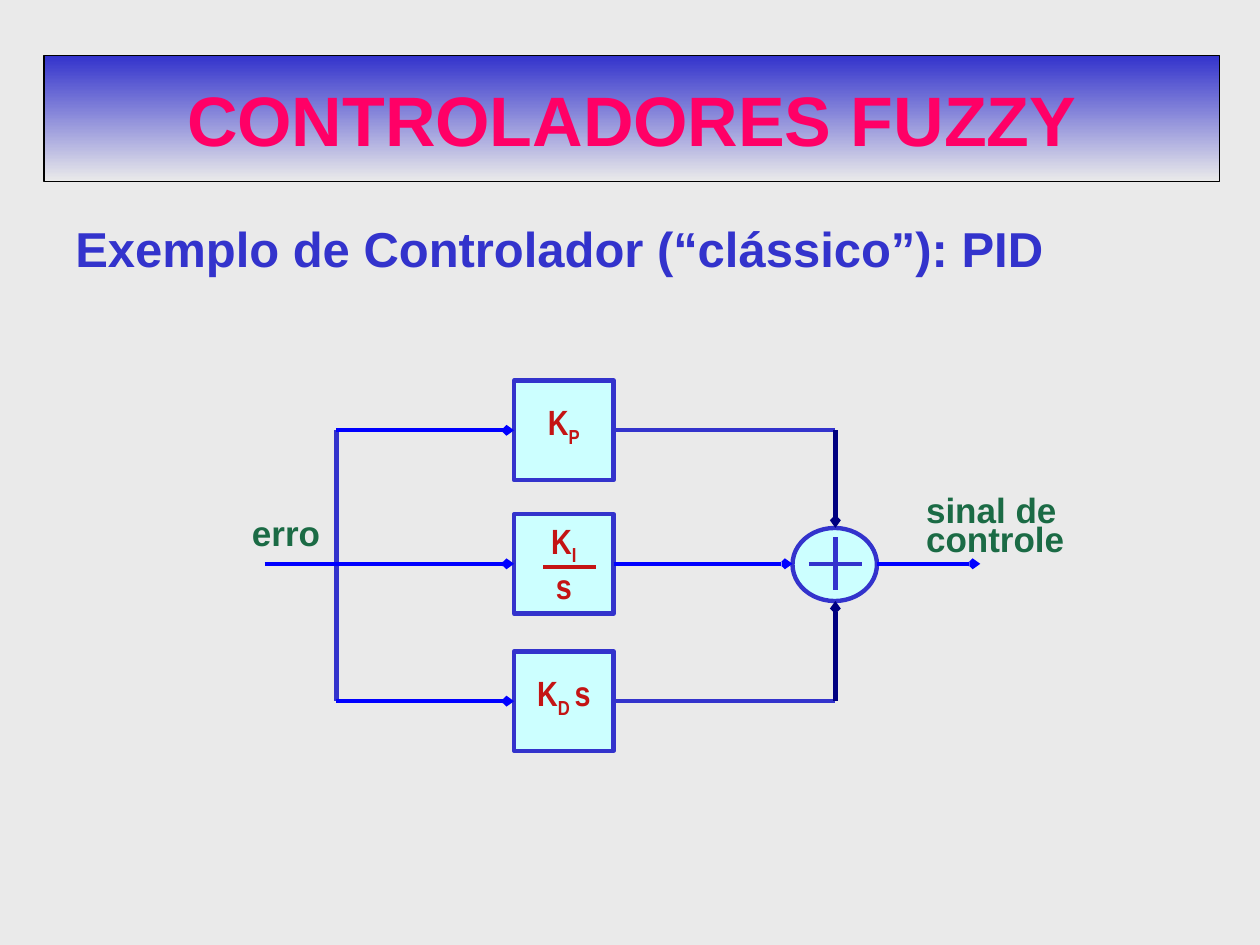
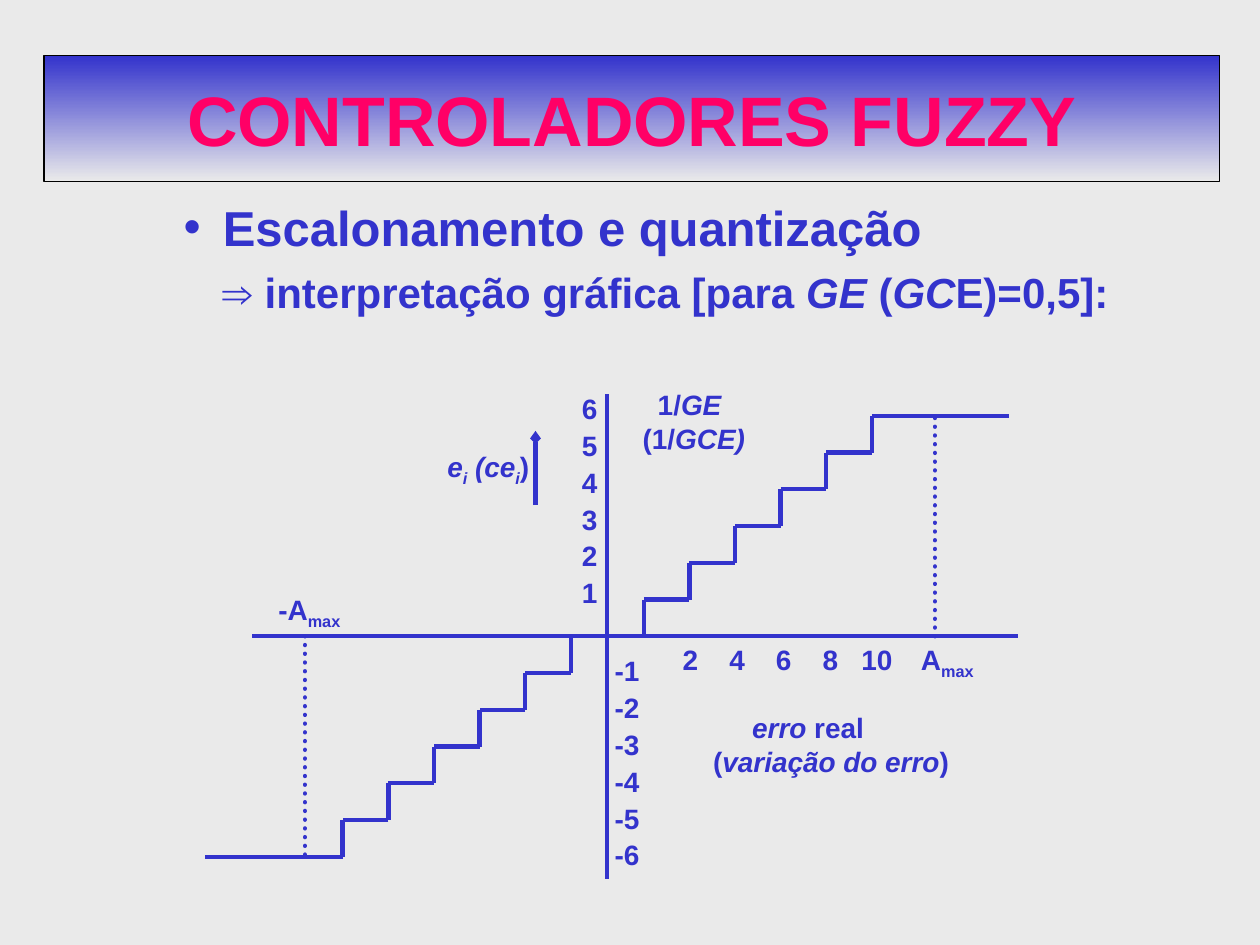
"""Build two slides on fuzzy controllers: a PID block diagram and a quantization staircase."""
from dataclasses import dataclass

from lxml import etree
from pptx import Presentation
from pptx import util as u
from pptx.dml.color import RGBColor
from pptx.enum import dml, shapes, text
from pptx.oxml import ns


@dataclass(frozen=True)
class Theme:
    background: str = "EAEAEA"
    primary: str = "3333CC"
    title: str = "FF0066"
    signal: str = "0000FF"
    sum_input: str = "000080"
    block: str = "CCFFFF"
    gain: str = "C41414"
    label: str = "1B6B45"
    border: str = "000000"
    font: str = "Arial"
    gain_font: str = "Arial Narrow"
    title_size: int = 40
    heading_size: int = 28
    subheading_size: int = 24
    diagram_size: int = 20
    axis_size: int = 16
    line_width: float = 2.5


THEME = Theme()
TITLE = "CONTROLADORES FUZZY"

PLAIN, ITALIC, SUB, ITALIC_SUB = "", "i", "s", "is"

PID_HEADING = [[("Exemplo de Controlador (“clássico”): PID", PLAIN)]]
GAINS = [
    (3.02, 0.16, [[("K", PLAIN), ("P", SUB)]]),
    (4.08, 0.04, [[("K", PLAIN), ("I", SUB)], [("s", PLAIN)]]),
    (5.17, 0.16, [[("K", PLAIN), ("D ", SUB), ("s", PLAIN)]]),
]
ERROR_LABEL = [[("erro", PLAIN)]]
OUTPUT_LABEL = [[("sinal de", PLAIN)], [("controle", PLAIN)]]

SCALING_HEADING = [
    [("Escalonamento e quantização", PLAIN)],
    [("⇒ interpretação gráfica [para ", PLAIN), ("GE", ITALIC), (" (", PLAIN),
     ("GC", ITALIC), ("E)=0,5]:", PLAIN)],
]
LEVELS = 6
POSITIVE_LEVELS = [[(str(level), PLAIN)] for level in range(LEVELS, 0, -1)]
NEGATIVE_LEVELS = [[(str(-level), PLAIN)] for level in range(1, LEVELS + 1)]
ERROR_TICKS = ["2", "4", "6", "8", "10"]
AXIS_NOTES = [
    ((3.55, 3.57, 1.14, 0.35), 0,
     [[("e", ITALIC), ("i", ITALIC_SUB), (" (ce", ITALIC), ("i", ITALIC_SUB), (")", PLAIN)]]),
    ((5.1, 3.08, 1.11, 0.74), 0.12,
     [[("1/", PLAIN), ("GE", ITALIC)], [("(1/", PLAIN), ("GCE)", ITALIC)]]),
    ((5.66, 5.64, 2.39, 0.59), 0.31,
     [[("erro", ITALIC), (" real", PLAIN)],
      [("(", PLAIN), ("variação do erro", ITALIC), (")", PLAIN)]]),
    ((7.31, 5.1, 0.7, 0.49), 0, [[("A", PLAIN), ("max", SUB)]]),
    ((2.21, 4.7, 0.55, 0.3), 0, [[("-A", PLAIN), ("max", SUB)]]),
]


def inches(*values):
    return [u.Inches(value) for value in values]


def color(value):
    return RGBColor.from_string(value)


def write(shape, paragraphs, size, ink, font=THEME.font, insets=(0, 0, 0, 0), align=None,
          spacing=None):
    frame = shape.text_frame
    frame.word_wrap = True
    frame.vertical_anchor = text.MSO_ANCHOR.TOP
    (frame.margin_left, frame.margin_top,
     frame.margin_right, frame.margin_bottom) = inches(*insets)
    for index, runs in enumerate(paragraphs):
        paragraph = frame.paragraphs[0] if index == 0 else frame.add_paragraph()
        paragraph.alignment = align or text.PP_ALIGN.LEFT
        if spacing:
            paragraph.line_spacing = spacing
        for words, style in runs:
            run = paragraph.add_run()
            run.text = words
            run.font.name, run.font.size, run.font.bold = font, u.Pt(size), True
            run.font.italic = "i" in style
            run.font.color.rgb = color(ink)
            if "s" in style:
                run.font._element.set("baseline", "-25000")
    return frame


def add_text(slide, place, paragraphs, size, ink=THEME.primary, **options):
    return write(slide.shapes.add_textbox(*inches(*place)), paragraphs, size, ink, **options)


def indent(paragraph, margin, first=0):
    properties = paragraph._p.get_or_add_pPr()
    properties.set("marL", str(u.Inches(margin)))
    properties.set("indent", str(u.Inches(first)))
    return properties


def add_bullet(paragraph, margin, first):
    properties = indent(paragraph, margin, first)
    bullet_color = etree.SubElement(properties, ns.qn("a:buClr"))
    etree.SubElement(bullet_color, ns.qn("a:srgbClr"), val=THEME.primary)
    etree.SubElement(properties, ns.qn("a:buFont"), typeface=THEME.font)
    etree.SubElement(properties, ns.qn("a:buChar"), char="•")


def add_line(slide, start, end, ink=THEME.primary, arrow=False, dotted=False):
    line = slide.shapes.add_connector(shapes.MSO_CONNECTOR.STRAIGHT, *inches(*start, *end))
    line.line.color.rgb = color(ink)
    line.line.width = u.Pt(THEME.line_width)
    if dotted:
        line.line.dash_style = dml.MSO_LINE.ROUND_DOT
        line.line._get_or_add_ln().set("cap", "rnd")
    if arrow:
        etree.SubElement(line.line._get_or_add_ln(), ns.qn("a:tailEnd"),
                         type="arrow", w="sm", len="sm")
    etree.SubElement(line._element.spPr, ns.qn("a:effectLst"))
    return line


def add_block(slide, kind, place):
    block = slide.shapes.add_shape(kind, *inches(*place))
    block.shadow.inherit = False
    block.fill.solid()
    block.fill.fore_color.rgb = color(THEME.block)
    block.line.color.rgb = color(THEME.primary)
    block.line.width = u.Pt(THEME.line_width)
    return block


def add_slide(presentation):
    slide = presentation.slides.add_slide(presentation.slide_layouts[6])
    slide.background.fill.solid()
    slide.background.fill.fore_color.rgb = color(THEME.background)
    band = slide.shapes.add_shape(shapes.MSO_SHAPE.RECTANGLE, *inches(0.35, 0.44, 9.33, 1))
    band.shadow.inherit = False
    band.fill.gradient()
    band.fill.gradient_angle = 270
    for stop, position, ink in zip(band.fill.gradient_stops, (0, 1),
                                   (THEME.primary, THEME.background)):
        stop.position = position
        stop.color.rgb = color(ink)
    band.line.color.rgb = color(THEME.border)
    band.line.width = u.Pt(0.75)
    frame = write(band, [[(TITLE, PLAIN)]], THEME.title_size, THEME.title,
                  insets=(0.1, 0.05, 0.1, 0.05), align=text.PP_ALIGN.CENTER)
    frame.vertical_anchor = text.MSO_ANCHOR.MIDDLE
    return slide


def add_heading(slide, place, paragraphs):
    frame = add_text(slide, place, paragraphs, THEME.heading_size,
                     insets=(0.1, 0.05, 0.1, 0.05))
    frame.paragraphs[0].line_spacing = 1.4
    return frame


def build_pid(presentation):
    slide = add_slide(presentation)
    add_heading(slide, (0.5, 1.5, 9, 0.83), PID_HEADING)

    side, block_left = 0.79, 4.08
    block_right = block_left + side
    split_x, sum_x, sum_left, sum_right = 2.67, 6.63, 6.29, 6.96
    sum_top, sum_bottom = 4.19, 4.77
    rows = [top + side / 2 for top, _, _ in GAINS]
    upper, middle, lower = rows
    add_line(slide, (split_x, upper), (split_x, lower))
    adder = (sum_left, sum_top, sum_right - sum_left, sum_bottom - sum_top)
    add_block(slide, shapes.MSO_SHAPE.OVAL, adder)

    for (top, inset, formula), row in zip(GAINS, rows):
        block = add_block(slide, shapes.MSO_SHAPE.RECTANGLE, (block_left, top, side, side))
        frame = write(block, formula, THEME.diagram_size, THEME.gain, THEME.gain_font,
                      insets=(0, inset, 0, 0), align=text.PP_ALIGN.CENTER)
        for denominator in frame.paragraphs[1:]:
            denominator.line_spacing = 0.7
            denominator.space_before = u.Pt(5)
        central = row == middle
        source = add_line(slide, (2.1 if central else split_x, row), (block_left, row),
                          THEME.signal, arrow=True)
        source.end_connect(block, 1)
        output = add_line(slide, (block_right, row), (sum_left if central else sum_x, row),
                          THEME.signal if central else THEME.primary, arrow=central)
        output.begin_connect(block, 3)

    add_line(slide, (4.31, 4.5), (4.73, 4.5), THEME.gain)
    add_line(slide, (sum_x, upper), (sum_x, sum_top), THEME.sum_input, arrow=True)
    add_line(slide, (sum_x, lower), (sum_x, sum_bottom), THEME.sum_input, arrow=True)
    add_line(slide, (sum_right, middle), (7.78, middle), THEME.signal, arrow=True)
    arm = 0.21
    add_line(slide, (sum_x - arm, middle), (sum_x + arm, middle))
    add_line(slide, (sum_x, middle - arm), (sum_x, middle + arm))

    add_text(slide, (2, 4.06, 0.64, 0.33), ERROR_LABEL, THEME.diagram_size, THEME.label)
    frame = add_text(slide, (7.35, 3.81, 1.2, 0.6), OUTPUT_LABEL, THEME.diagram_size,
                     THEME.label)
    first, second = frame.paragraphs
    first.line_spacing, second.line_spacing = 1.2, 0.4
    second.space_before = u.Pt(5)


def build_quantization(presentation):
    slide = add_slide(presentation)
    frame = add_heading(slide, (0.67, 1.33, 8.5, 1.42), SCALING_HEADING)
    topic, detail = frame.paragraphs
    add_bullet(topic, 1, -0.31)
    indent(detail, 1)
    detail.space_before = u.Pt(6)
    for run in detail.runs:
        run.font.size = u.Pt(THEME.subheading_size)

    origin_x, origin_y = 4.82, 5.05
    first_riser, last_riser, reach, height = 0.29, 2.1, 3.19, 1.75
    add_line(slide, (origin_x, 3.13), (origin_x, 6.98))
    add_line(slide, (2, origin_y), (8.08, origin_y))
    tread = (last_riser - first_riser) / (LEVELS - 1)
    offsets = [first_riser + tread * step for step in range(LEVELS)] + [reach]
    for sign, limit in ((1, 2.6), (-1, 2.4)):
        corners = [(origin_x + sign * first_riser, origin_y)]
        for step, (start, end) in enumerate(zip(offsets, offsets[1:]), 1):
            level = origin_y - sign * height * step / LEVELS
            corners += [(origin_x + sign * start, level), (origin_x + sign * end, level)]
        for start, end in zip(corners, corners[1:]):
            add_line(slide, start, end)
        limit_x = origin_x + sign * limit
        add_line(slide, (limit_x, origin_y), (limit_x, origin_y - sign * height), dotted=True)

    for place, levels in (((4.52, 3.08, 0.55, 1.93), POSITIVE_LEVELS),
                          ((4.78, 5.16, 0.55, 1.93), NEGATIVE_LEVELS)):
        add_text(slide, place, levels, THEME.axis_size, insets=(0.1, 0, 0.1, 0), spacing=1.1)
    for index, tick in enumerate(ERROR_TICKS):
        add_text(slide, (5.3 + 0.37 * index, 5.1, 0.36, 0.3), [[(tick, PLAIN)]],
                 THEME.axis_size, align=text.PP_ALIGN.CENTER)
    for place, margin, paragraphs in AXIS_NOTES:
        frame = add_text(slide, place, paragraphs, THEME.axis_size)
        indent(frame.paragraphs[0], margin)
    add_line(slide, (4.25, 4.01), (4.25, 3.42), arrow=True)


def main():
    presentation = Presentation()
    presentation.slide_width, presentation.slide_height = inches(10, 7.5)
    build_pid(presentation)
    build_quantization(presentation)
    presentation.save("out.pptx")


if __name__ == "__main__":
    main()
